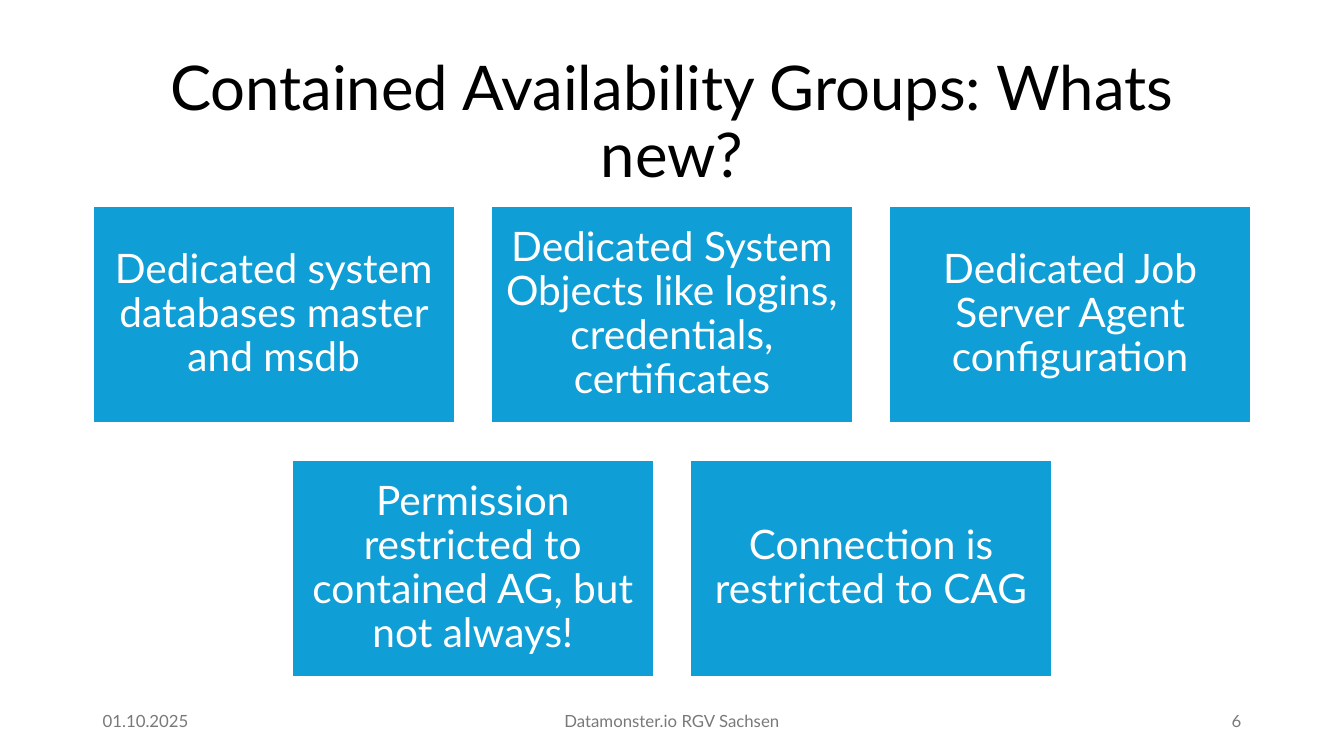
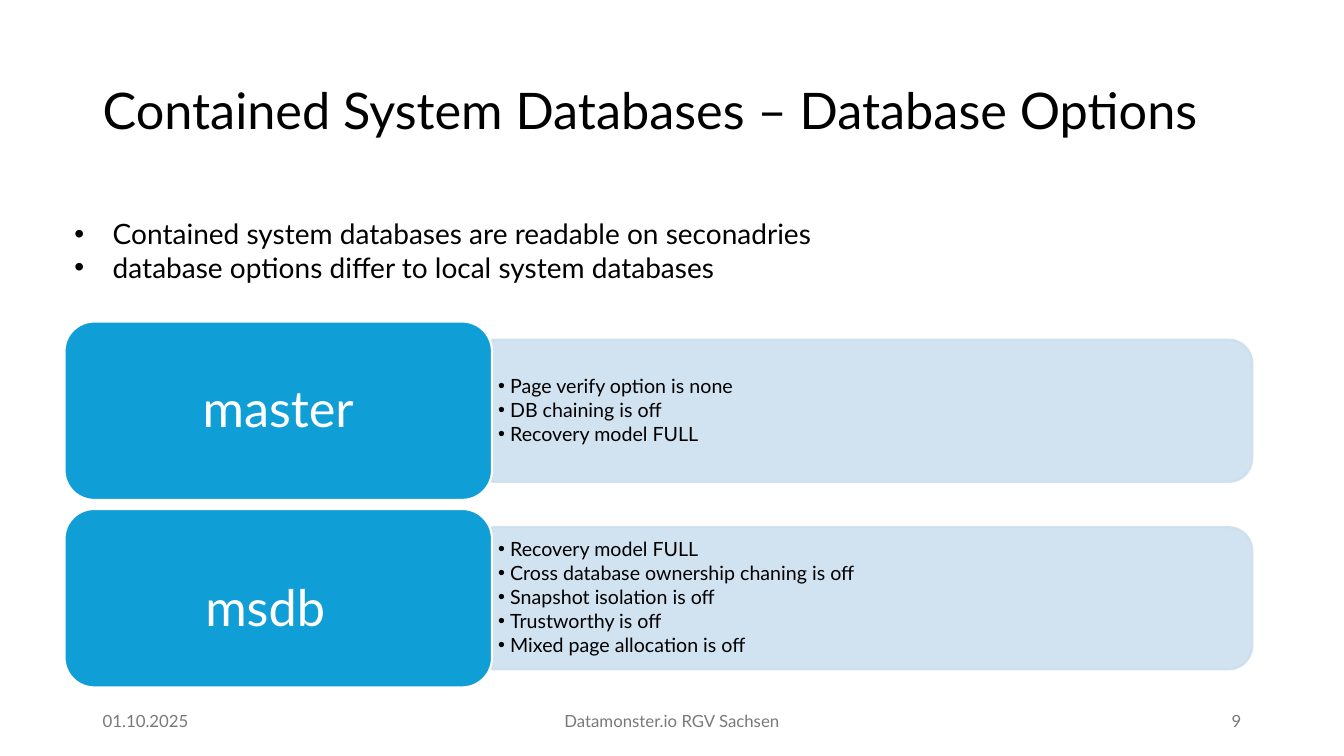
from lxml.etree import SubElement
from pptx import Presentation
from pptx.dml.color import RGBColor
from pptx.enum.shapes import MSO_SHAPE
from pptx.enum.text import MSO_ANCHOR, PP_ALIGN
from pptx.oxml.ns import qn
from pptx.util import Inches, Pt

BLUE = RGBColor(0x0F, 0x9E, 0xD5)
PALE_BLUE = RGBColor(0xCC, 0xDF, 0xEF)
WHITE = RGBColor(0xFF, 0xFF, 0xFF)
BLACK = RGBColor(0x00, 0x00, 0x00)
GRAY = RGBColor(0x79, 0x79, 0x79)

# Text styles
TITLE = {"size": Pt(44), "color": BLACK, "spacing": 0.9, "align": PP_ALIGN.CENTER}
LEFT_TITLE = TITLE | {"size": Pt(36), "align": PP_ALIGN.LEFT}
FOOTER = {"size": Pt(12), "color": GRAY}
CARD = {"size": Pt(29), "color": WHITE, "spacing": 0.9, "align": PP_ALIGN.CENTER,
        "insets": (0.12, 0.12, 0.12, 0.12)}
NAME = CARD | {"size": Pt(36)}
INTRO = {"size": Pt(20), "color": BLACK, "indent": 0.38, "anchor": MSO_ANCHOR.TOP}
OPTION = {"size": Pt(14), "color": BLACK, "spacing": 0.9, "indent": 0.12,
          "after": Pt(2), "insets": (0.06, 0.03, 0.06, 0.03)}

# Page grid
SLIDE_WIDTH, SLIDE_HEIGHT = 13.33, 7.5
MARGIN = 0.92
CONTENT_WIDTH = SLIDE_WIDTH - 2 * MARGIN


def add_text(slide, box, lines, style, shape=None):
    """Write lines in a shape, or in a new text box at box."""
    shape = shape or slide.shapes.add_textbox(*map(Inches, box))
    frame = shape.text_frame
    left, top, right, bottom = style.get("insets", (0.1, 0.05, 0.1, 0.05))
    settings = {
        "word_wrap": True,
        "vertical_anchor": style.get("anchor", MSO_ANCHOR.MIDDLE),
        "margin_left": Inches(left), "margin_top": Inches(top),
        "margin_right": Inches(right), "margin_bottom": Inches(bottom),
    }
    for name, value in settings.items():
        setattr(frame, name, value)
    for index, line in enumerate(lines):
        paragraph = frame.add_paragraph() if index else frame.paragraphs[0]
        if "indent" in style:
            properties = paragraph._p.get_or_add_pPr()
            properties.set("marL", str(Inches(style["indent"])))
            properties.set("indent", str(-Inches(style["indent"])))
            SubElement(properties, qn("a:buFont"), typeface="Arial")
            SubElement(properties, qn("a:buChar"), char="•")
        formats = {"alignment": style.get("align", PP_ALIGN.LEFT),
                   "line_spacing": style.get("spacing"),
                   "space_after": style.get("after")}
        for name, value in formats.items():
            setattr(paragraph, name, value)
        run = paragraph.add_run()
        run.text = line
        run.font.name = "Lato"
        run.font.size = style["size"]
        run.font.color.rgb = style["color"]


def add_block(slide, kind, box, fill, line):
    """Add a filled and outlined preset shape."""
    shape = slide.shapes.add_shape(kind, *map(Inches, box))
    shape.shadow.inherit = False
    shape.fill.solid()
    shape.fill.fore_color.rgb = fill
    shape.line.color.rgb = line
    shape.line.width = Pt(1.5)
    return shape


presentation = Presentation()
presentation.slide_width = Inches(SLIDE_WIDTH)
presentation.slide_height = Inches(SLIDE_HEIGHT)

# Titles and footers
pages = [
    ("Contained Availability Groups: Whats new?", 0.61, 1.24, TITLE, "6"),
    ("Contained System Databases – Database Options", 0.4, 1.45, LEFT_TITLE, "9"),
]
slides = []
for title, top, height, style, number in pages:
    slide = presentation.slides.add_slide(presentation.slide_layouts[6])
    add_text(slide, (MARGIN, top, CONTENT_WIDTH, height), [title], style)
    footers = [
        ("01.10.2025", MARGIN, 3, PP_ALIGN.LEFT),
        ("Datamonster.io RGV Sachsen", (SLIDE_WIDTH - 4.5) / 2, 4.5, PP_ALIGN.CENTER),
        (number, SLIDE_WIDTH - MARGIN - 3, 3, PP_ALIGN.RIGHT),
    ]
    for text, left, width, align in footers:
        add_text(slide, (left, 6.95, width, 0.4), [text], FOOTER | {"align": align})
    slides.append(slide)
news_slide, options_slide = slides

# Cards in centred rows
CARD_WIDTH, CARD_HEIGHT, CARD_GAP = 3.59, 2.16, 0.36
card_rows = [
    ["Dedicated system databases master and msdb",
     "Dedicated System Objects like logins, credentials, certificates",
     "Dedicated Job Server Agent configuration"],
    ["Permission restricted to contained AG, but not always!",
     "Connection is restricted to CAG"],
]
for row, cards in enumerate(card_rows):
    row_width = len(cards) * (CARD_WIDTH + CARD_GAP) - CARD_GAP
    top = 2.04 + row * (CARD_HEIGHT + CARD_GAP)
    for column, text in enumerate(cards):
        left = (SLIDE_WIDTH - row_width) / 2 + column * (CARD_WIDTH + CARD_GAP)
        box = (left, top, CARD_WIDTH, CARD_HEIGHT)
        card = add_block(news_slide, MSO_SHAPE.RECTANGLE, box, BLUE, WHITE)
        add_text(news_slide, box, [text], CARD, card)

# Introduction to the database options
LEFT = 0.64
add_text(options_slide, (LEFT, 2.1, 11.7, 0.77), [
    "Contained system databases are readable on seconadries",
    "database options differ to local system databases",
], INTRO)

# One name block and one option band per database
NAME_WIDTH, NAME_HEIGHT, ROW_PITCH = 4.24, 1.77, 1.86
BAND_WIDTH, BAND_HEIGHT = 7.54, 1.41
databases = [
    ("master", (0.23, 0.15, 0.23, 0.15),
     ["Page verify option is none", "DB chaining is off", "Recovery model FULL"]),
    ("msdb", (0.23, 0.39, 0.49, 0.15),
     ["Recovery model FULL", "Cross database ownership chaning is off",
      "Snapshot isolation is off", "Trustworthy is off",
      "Mixed page allocation is off"]),
]
for row, (name, insets, options) in enumerate(databases):
    top = 3.19 + row * ROW_PITCH
    middle = top + NAME_HEIGHT / 2
    band_left = LEFT + NAME_WIDTH
    # The band is an upright shape turned by 90 degrees about its centre
    band = add_block(options_slide, MSO_SHAPE.ROUND_2_SAME_RECTANGLE,
                     (band_left + (BAND_WIDTH - BAND_HEIGHT) / 2, middle - BAND_WIDTH / 2,
                      BAND_HEIGHT, BAND_WIDTH), PALE_BLUE, PALE_BLUE)
    band.rotation = 90
    for color in band._element.spPr.iter(qn("a:srgbClr")):
        SubElement(color, qn("a:alpha"), val="90000")
    add_text(options_slide, (band_left, middle - 0.64, 7.47, 1.28), options, OPTION)
    box = (LEFT, top, NAME_WIDTH, NAME_HEIGHT)
    block = add_block(options_slide, MSO_SHAPE.ROUNDED_RECTANGLE, box, BLUE, WHITE)
    add_text(options_slide, box, [name], NAME | {"insets": insets}, block)

presentation.save("out.pptx")
